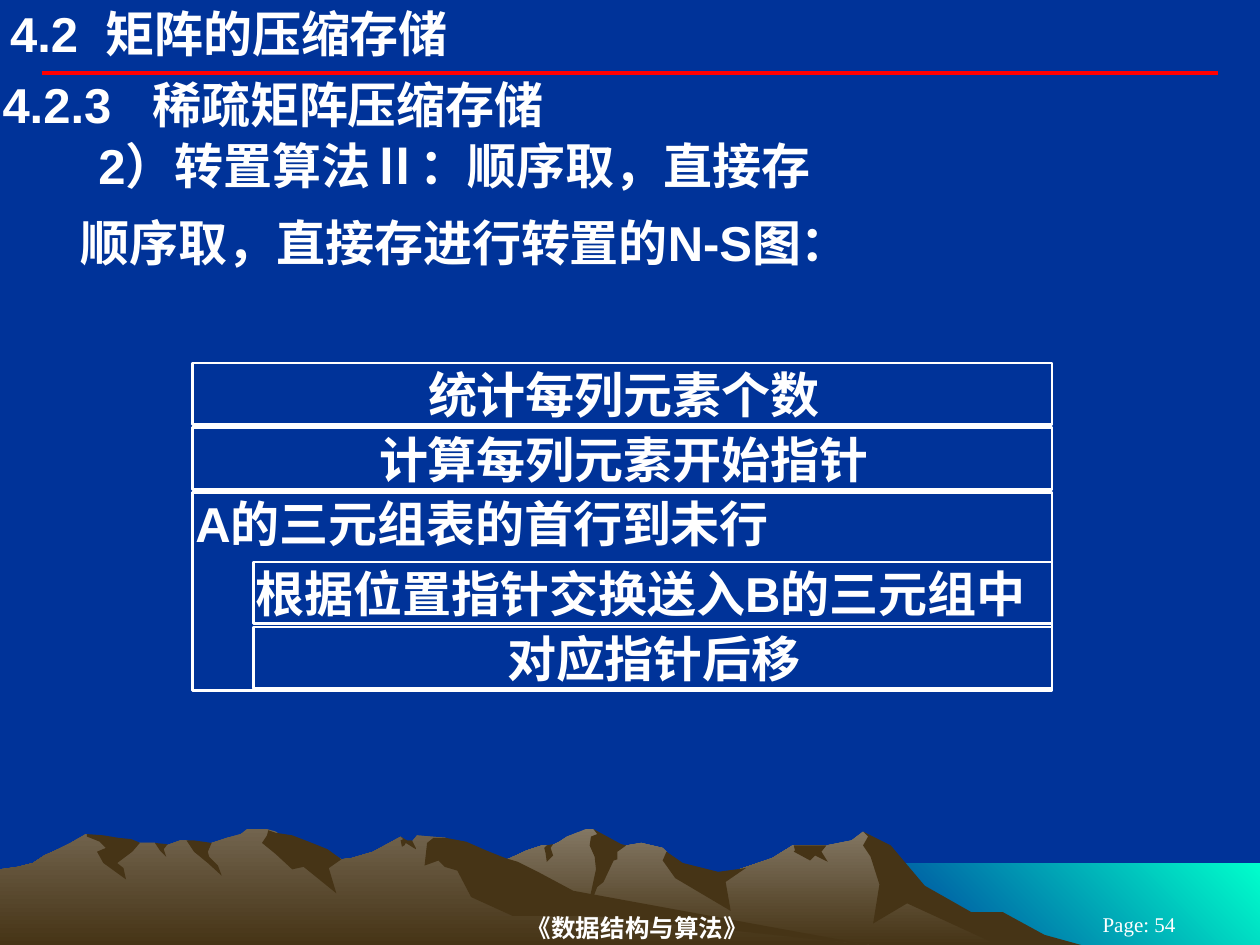
from pptx import Presentation
from pptx.dml.color import RGBColor
from pptx.enum.shapes import MSO_CONNECTOR, MSO_SHAPE
from pptx.enum.text import MSO_ANCHOR, MSO_AUTO_SIZE, PP_ALIGN
from pptx.oxml.ns import qn
from pptx.util import Inches, Pt
from lxml import etree

LEFT, CENTER = PP_ALIGN.LEFT, PP_ALIGN.CENTER
TOP, MIDDLE = MSO_ANCHOR.TOP, MSO_ANCHOR.MIDDLE

THEME = {
    "bg": "003399", "text": "FFFFFF", "rule": "FF0000", "sea": "00FFCC",
    "shade": "463416", "near": "72644E", "far": "837763",
    "font": "Arial", "footer_font": "Times New Roman",
    "size": 28, "footer_size": 14, "page_size": 12,
}

# Content: number, heading, extra width of the space between them in points
TITLE = ("4.2", "矩阵的压缩存储", 7.8)
SECTION = ("4.2.3", "稀疏矩阵压缩存储", 15.6)
BODY = [  # text, left indent, space before in points
    ("2）转置算法Ⅱ：顺序取，直接存", 0.76, 1.5),
    ("顺序取，直接存进行转置的N-S图：", 0.62, 10),
]
STEPS = ["统计每列元素个数", "计算每列元素开始指针"]
LOOP = "A的三元组表的首行到未行"
LOOP_STEPS = [("根据位置指针交换送入B的三元组中", LEFT), ("对应指针后移", CENTER)]
FOOTERS = [  # text, box, size, bold
    ("《数据结构与算法》", (2.08, 7.22, 5.96, 0.28), THEME["footer_size"], True),
    ("Page: 54", (8.25, 7.25, 1.58, 0.17), THEME["page_size"], False),
]

# Landscape outlines, x and y in hundredths of an inch
SEA = [(1000, 750), (683, 750), (683, 685), (1000, 685)]
FAR_RIDGE = [
    (802, 740), (778, 727), (764, 723), (723, 698), (702, 671), (685, 660), (676, 667),
    (656, 671), (629, 671), (613, 681), (566, 697), (536, 690), (529, 676), (526, 673),
    (509, 669), (497, 671), (486, 673), (474, 661), (471, 658), (465, 658), (450, 664),
    (444, 668), (438, 671), (430, 671), (418, 675), (405, 681), (394, 685), (355, 698),
    (327, 709), (277, 739), (258, 750), (821, 750)]
FAR_SHADES = [
    [(796, 724), (771, 724), (734, 703), (707, 671), (685, 660), (689, 664), (685, 671),
     (691, 680), (698, 702), (693, 733), (720, 717), (792, 750), (858, 750), (829, 742)],
    [(471, 658), (474, 662), (469, 664), (468, 671), (472, 680), (473, 690), (465, 727),
     (474, 704), (479, 700), (487, 683), (490, 682), (490, 676), (497, 671), (493, 670)],
    [(529, 676), (526, 683), (536, 697), (580, 723), (576, 700), (592, 689), (570, 692),
     (542, 685)],
    [(650, 671), (630, 671), (631, 675), (630, 676), (643, 683), (647, 679), (657, 684),
     (652, 676), (656, 671)],
    [(433, 677), (432, 673), (434, 671), (439, 670), (437, 673), (439, 679), (434, 684)],
]
NEAR_RIDGE = [
    (690, 750), (667, 748), (432, 712), (354, 665), (331, 663), (327, 668), (323, 668),
    (318, 664), (296, 676), (279, 681), (271, 682), (260, 676), (236, 681), (223, 663),
    (219, 660), (212, 658), (196, 658), (191, 662), (180, 665), (168, 669), (160, 671),
    (148, 667), (143, 667), (132, 671), (128, 671), (123, 669), (111, 669), (94, 671),
    (68, 662), (56, 669), (46, 674), (35, 679), (26, 685), (14, 688), (0, 690), (0, 750)]
NEAR_SHADES = [
    [(212, 663), (208, 669), (219, 678), (232, 690), (241, 688), (267, 709), (261, 689),
     (271, 682), (260, 674), (245, 668), (232, 663), (219, 661), (213, 659)],
    [(370, 668), (354, 665), (344, 665), (339, 669), (337, 687), (348, 683), (353, 688),
     (363, 691), (374, 712), (407, 727), (472, 727), (690, 750), (455, 707), (427, 692),
     (411, 684), (401, 681), (386, 675)],
    [(318, 667), (320, 666), (318, 664), (323, 667), (327, 667), (330, 673), (330, 674),
     (322, 669), (321, 671), (319, 672)],
    [(154, 667), (168, 669), (165, 676), (166, 680), (173, 687), (176, 695), (165, 685),
     (154, 676), (148, 667)],
    [(133, 670), (130, 674), (132, 680), (127, 675), (123, 669)],
    [(109, 668), (111, 669), (105, 676), (93, 685), (98, 689), (100, 698), (82, 685),
     (77, 676), (84, 673), (79, 668), (69, 664), (69, 662), (82, 663), (94, 665), (104, 666)],
]


def rgb(name):
    return RGBColor.from_string(THEME[name])


def inches(values):
    return [Inches(v) for v in values]


def setup_frame(tf, left, top, right, anchor=TOP):
    tf.word_wrap = True
    tf.auto_size = MSO_AUTO_SIZE.NONE
    tf.vertical_anchor = anchor
    tf.margin_left, tf.margin_right = Inches(left), Inches(right)
    tf.margin_top = tf.margin_bottom = Inches(top)


def write(p, text, size=THEME["size"], font=THEME["font"], bold=True, align=LEFT):
    p.alignment = align
    r = p.add_run()
    r.text = text
    r.font.size, r.font.name, r.font.bold = Pt(size), font, bold
    r.font.color.rgb = rgb("text")
    return r


def write_heading(p, number, heading, gap):
    write(p, number)
    space = write(p, " ")
    space._r.get_or_add_rPr().set("spc", str(round(gap * 100)))
    write(p, heading)


def set_indent(p, left=0):
    pPr = p._p.get_or_add_pPr()
    pPr.set("marL", str(Inches(left)))
    pPr.set("indent", "0")
    etree.SubElement(pPr, qn("a:buNone"))


def add_outline(s, points, *colors, angle=270):
    builder = s.shapes.build_freeform(*points[0], scale=Inches(0.01))
    builder.add_line_segments(points[1:], close=True)
    sp = builder.convert_to_shape()
    sp.shadow.inherit = False
    sp.line.fill.background()
    if len(colors) == 1:
        sp.fill.solid()
        sp.fill.fore_color.rgb = rgb(colors[0])
        return
    sp.fill.gradient()
    sp.fill.gradient_angle = angle
    for stop, color in zip(sp.fill.gradient_stops, colors):
        stop.color.rgb = rgb(color)


def add_block(s, box, text, align):
    sp = s.shapes.add_shape(MSO_SHAPE.RECTANGLE, *inches(box))
    sp.shadow.inherit = False
    sp.fill.background()
    sp.line.color.rgb = rgb("text")
    sp.line.width = Pt(1.5)
    setup_frame(sp.text_frame, 0.02, 0.01, 0)
    write(sp.text_frame.paragraphs[0], text, align=align)


def main():
    prs = Presentation()
    prs.slide_width, prs.slide_height = Inches(10), Inches(7.5)
    s = prs.slides.add_slide(prs.slide_layouts[1])
    s.background.fill.solid()
    s.background.fill.fore_color.rgb = rgb("bg")

    # Landscape
    add_outline(s, SEA, "sea", "bg", angle=225)
    for ridge, color, shades in [(FAR_RIDGE, "far", FAR_SHADES),
                                 (NEAR_RIDGE, "near", NEAR_SHADES)]:
        add_outline(s, ridge, color, "shade")
        for points in shades:
            add_outline(s, points, "shade")

    # Red rule
    rule = s.shapes.add_connector(MSO_CONNECTOR.STRAIGHT, *inches((0.33, 0.58, 9.67, 0.58)))
    rule.line.color.rgb = rgb("rule")
    rule.line.width = Pt(2.25)
    etree.SubElement(rule._element.spPr, qn("a:effectLst"))

    # Title and headings
    title, body = s.shapes.title, s.placeholders[1]
    title.left, title.top, title.width, title.height = inches((0.08, 0.03, 6.5, 0.47))
    setup_frame(title.text_frame, 0, 0, 0)
    write_heading(title.text_frame.paragraphs[0], *TITLE)

    body.left, body.top, body.width, body.height = inches((0, 0.58, 10, 1.59))
    tf = body.text_frame
    setup_frame(tf, 0.02, 0.01, 0.02)
    p = tf.paragraphs[0]
    set_indent(p)
    p.space_before = Pt(0)
    write_heading(p, *SECTION)
    for text, left, before in BODY:
        p = tf.add_paragraph()
        set_indent(p, left)
        p.space_before = Pt(before)
        write(p, text)

    # N-S chart: plain steps, then the loop frame with its inner steps
    x, y, w, h, pitch = 1.53, 2.88, 6.82, 0.49, 0.515
    for i, text in enumerate(STEPS):
        add_block(s, (x, y + i * pitch, w, h), text, CENTER)
    loop_y, indent = y + len(STEPS) * pitch, 0.48
    add_block(s, (x, loop_y, w, 1.57), LOOP, LEFT)
    for i, (text, align) in enumerate(LOOP_STEPS):
        add_block(s, (x + indent, loop_y + 0.55 + i * pitch, w - indent, h), text, align)

    # Footer
    for text, box, size, bold in FOOTERS:
        tf = s.shapes.add_textbox(*inches(box)).text_frame
        setup_frame(tf, 0, 0.01, 0, MIDDLE)
        write(tf.paragraphs[0], text, size, THEME["footer_font"], bold, CENTER)

    prs.save("out.pptx")


if __name__ == "__main__":
    main()
